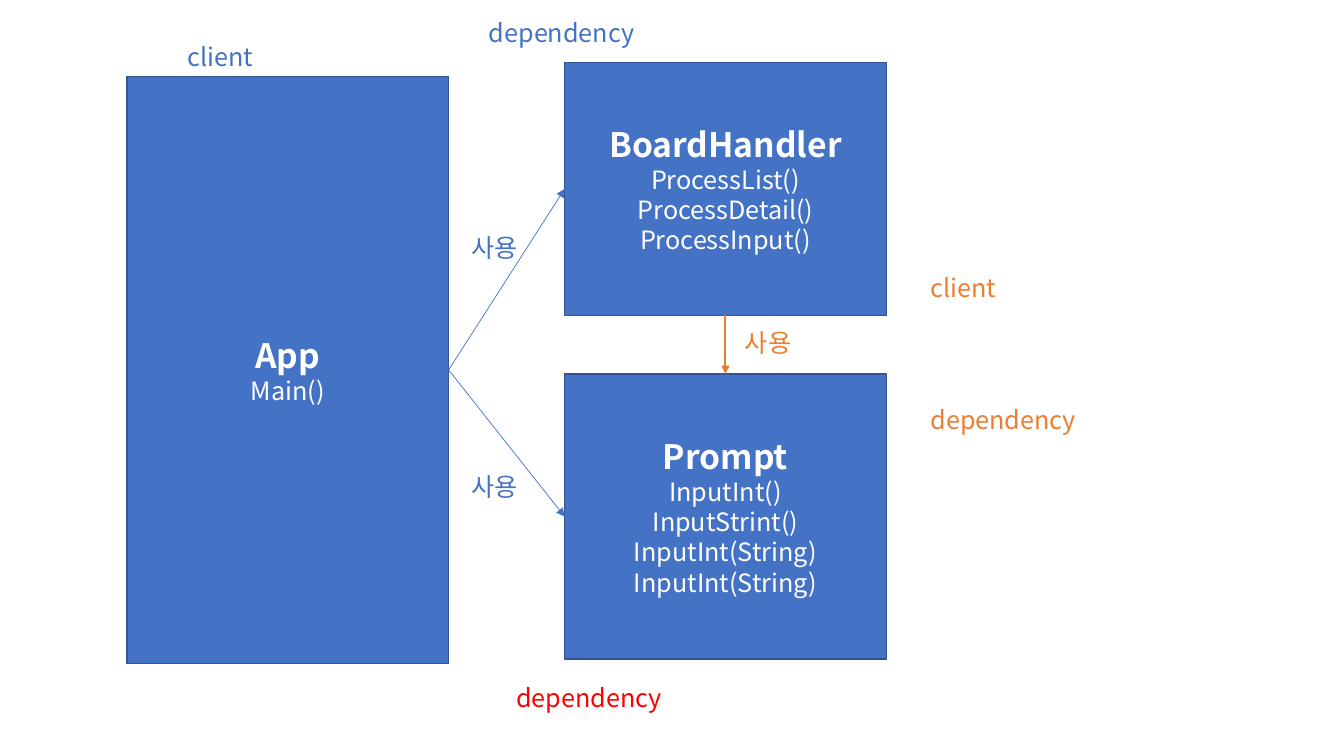
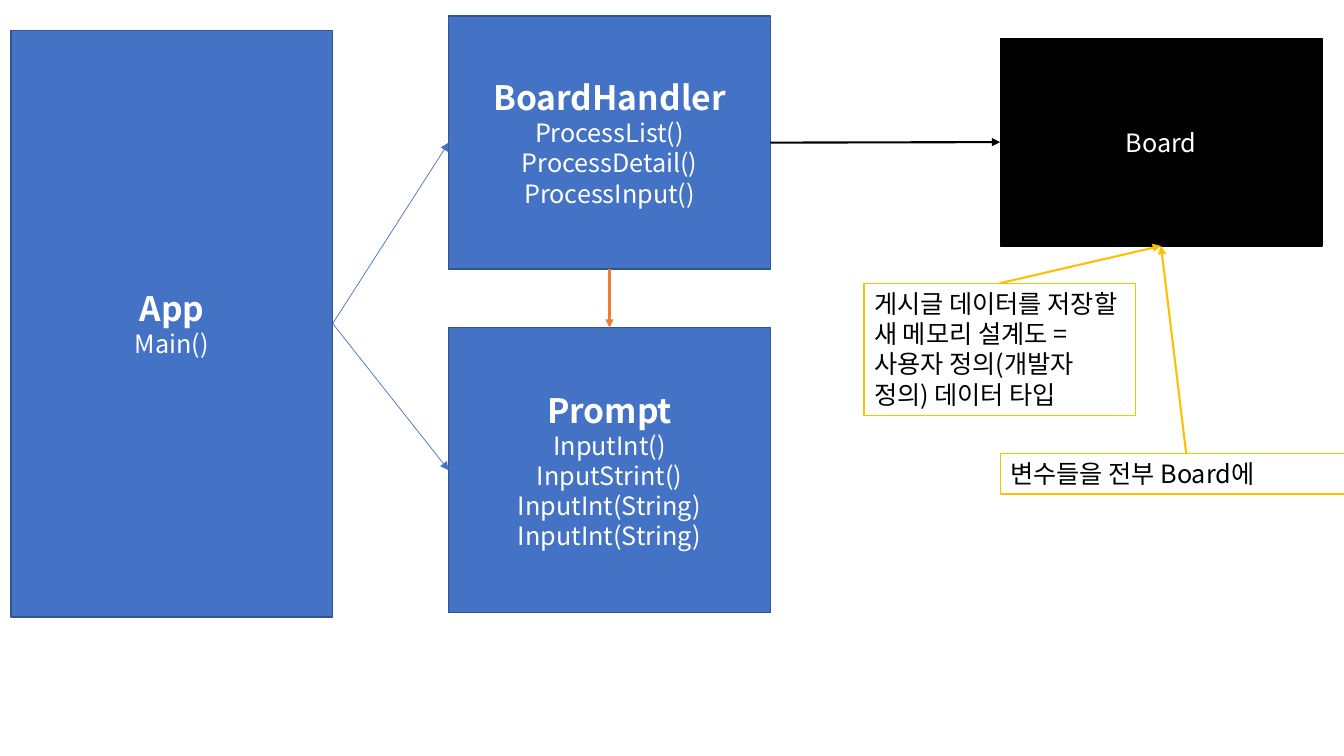
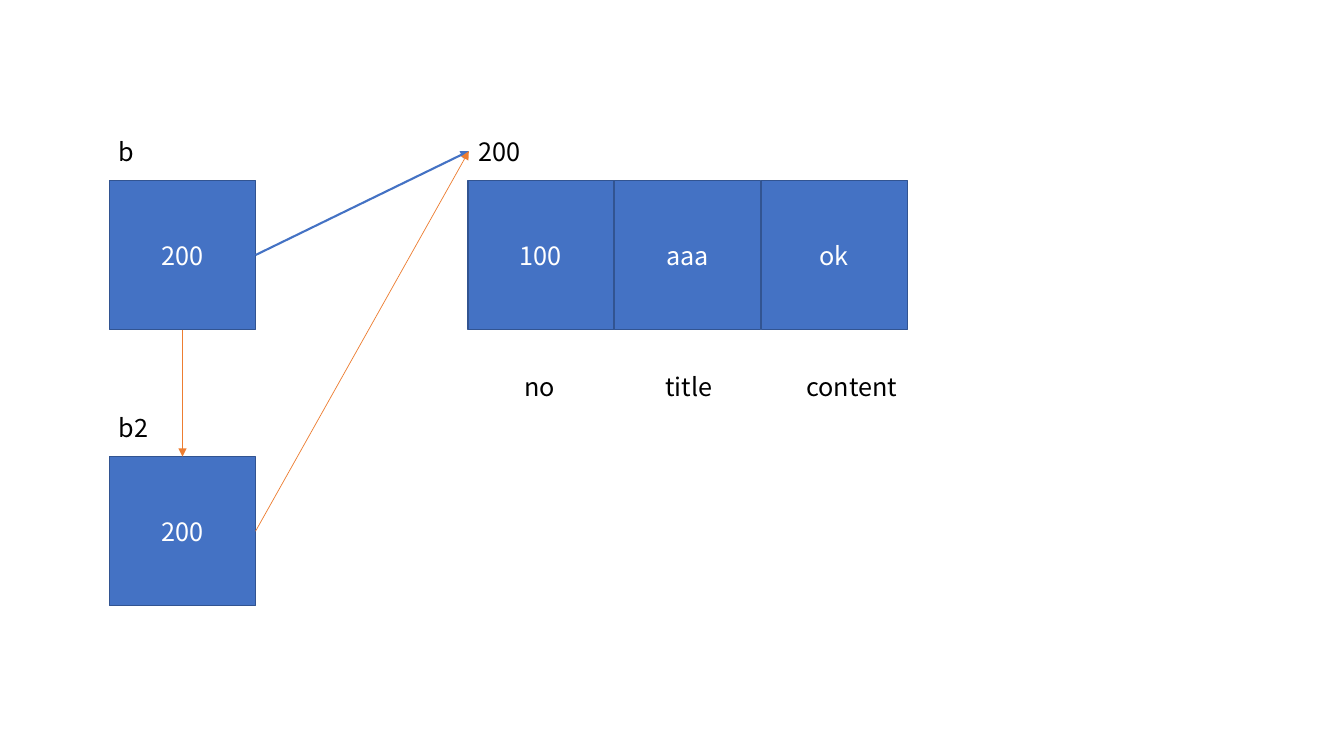
from lxml.etree import SubElement
from pptx import Presentation
from pptx.dml.color import RGBColor
from pptx.enum.shapes import MSO_CONNECTOR, MSO_SHAPE
from pptx.enum.text import MSO_ANCHOR, MSO_AUTO_SIZE, PP_ALIGN
from pptx.oxml.ns import qn
from pptx.util import Inches, Pt

# Shared style
FONT = "Noto Sans CJK KR"
COLOURS = {
    "blue": "4472C4", "navy": "325491", "orange": "ED7D31", "red": "FF0000",
    "gold": "FFC000", "black": "000000", "white": "FFFFFF",
}
TOP, LEFT, BOTTOM, RIGHT = range(4)


def add_box(page, lines, at, ink="white", fill="blue", outline="navy", centred=True):
    """Add a rectangle, or a plain text box when fill is None."""
    place = [Inches(length) for length in at]
    if fill is None:
        box = page.shapes.add_textbox(*place)
    else:
        box = page.shapes.add_shape(MSO_SHAPE.RECTANGLE, *place)
        box.shadow.inherit = False
        box.fill.solid()
        box.fill.fore_color.rgb = RGBColor.from_string(COLOURS[fill])
        box.line.color.rgb = RGBColor.from_string(COLOURS[outline])
        box.line.width = Pt(1)
    frame = box.text_frame
    frame.word_wrap = True
    frame.vertical_anchor = MSO_ANCHOR.MIDDLE if centred else MSO_ANCHOR.TOP
    frame.auto_size = MSO_AUTO_SIZE.NONE if centred else MSO_AUTO_SIZE.SHAPE_TO_FIT_TEXT
    frame.text = "\n".join(lines)
    for number, paragraph in enumerate(frame.paragraphs):
        heading = number == 0 and len(lines) > 1
        paragraph.alignment = PP_ALIGN.CENTER if centred else PP_ALIGN.LEFT
        paragraph.font.size = Pt(24 if heading else 18)
        paragraph.font.bold = heading
        paragraph.font.name = FONT
        paragraph.font.color.rgb = RGBColor.from_string(COLOURS[ink])
        for properties in paragraph._p.iter(qn("a:defRPr")):
            SubElement(properties, qn("a:ea"), typeface=FONT)
    return box


def add_arrow(page, source, source_side, target, target_side, colour, weight):
    """Join the middles of two box sides with an arrow."""
    arrow = page.shapes.add_connector(MSO_CONNECTOR.STRAIGHT, 0, 0, 0, 0)
    arrow.begin_connect(source, source_side)
    arrow.end_connect(target, target_side)
    arrow.line.color.rgb = RGBColor.from_string(COLOURS[colour])
    arrow.line.width = Pt(weight)
    SubElement(arrow.line._get_or_add_ln(), qn("a:tailEnd"), type="triangle")
    SubElement(arrow._element.spPr, qn("a:effectLst"))


deck = Presentation()
deck.slide_width, deck.slide_height = Inches(13.33), Inches(7.5)
class_page, board_page, memory_page = [
    deck.slides.add_slide(deck.slide_layouts[6]) for _ in range(3)
]

# Class diagram on the first two slides
CLASS_WIDTH = 3.19
HANDLER = ["BoardHandler", "ProcessList()", "ProcessDetail()", "ProcessInput()"]
PROMPT = ["Prompt", "InputInt()", "InputStrint()", "InputInt(String)", "InputInt(String)"]
for page, left, top in [(class_page, 1.26, 0.76), (board_page, 0.11, 0.3)]:
    app = add_box(page, ["App", "Main()"], (left, top, CLASS_WIDTH, 5.82))
    handler = add_box(page, HANDLER, (left + 4.34, top - 0.14, CLASS_WIDTH, 2.51))
    prompt = add_box(page, PROMPT, (left + 4.34, top + 2.95, CLASS_WIDTH, 2.83))
    for target in (handler, prompt):
        add_arrow(page, app, RIGHT, target, LEFT, "blue", 0.5)
    add_arrow(page, handler, BOTTOM, prompt, TOP, "orange", 1.5)

# Slide 1: roles and uses
for text, left, top, width, colour in [
    ("client", 1.76, 0.36, 1.92, "blue"),
    ("dependency", 4.75, 0.12, 1.92, "blue"),
    ("dependency", 5.02, 6.72, 1.92, "red"),
    ("사용", 4.58, 2.26, 0.88, "blue"),
    ("사용", 4.58, 4.63, 0.88, "blue"),
    ("사용", 7.29, 3.2, 0.88, "orange"),
    ("client", 9.13, 2.65, 1.92, "orange"),
    ("dependency", 9.13, 3.96, 1.92, "orange"),
]:
    add_box(class_page, [text], (left, top, width, 0.4), colour, None, centred=False)

# Slide 2: the Board type and its notes (handler is the one drawn last)
board = add_box(board_page, ["Board"], (9.92, 0.38, CLASS_WIDTH, 2.06),
                fill="black", outline="black")
add_arrow(board_page, handler, RIGHT, board, LEFT, "black", 1.5)
for text, at in [
    ("게시글 데이터를 저장할 새 메모리 설계도 = 사용자 정의(개발자 정의) 데이터 타입",
     (8.57, 2.81, 2.69, 1.31)),
    ("변수들을 전부 Board에", (9.92, 4.5, 3.69, 0.4)),
]:
    note = add_box(board_page, [text], at, "black", "white", "gold", centred=False)
    add_arrow(board_page, note, TOP, board, BOTTOM, "gold", 1.5)

# Slide 3: two references to one object
CELL_WIDTH, CELL_HEIGHT, CELL_STEP = 1.45, 1.48, 1.455
first, second = [
    add_box(memory_page, ["200"], (1.085, top, CELL_WIDTH, CELL_HEIGHT))
    for top in (1.79, 4.53)
]
for column, value in enumerate(["100", "aaa", "ok"]):
    add_box(memory_page, [value],
            (4.64 + column * CELL_STEP, 1.79, CELL_WIDTH, CELL_HEIGHT))
for text, left, top, width in [
    ("b", 1.08, 1.3, 0.4),
    ("b2", 1.08, 4.04, 0.61),
    ("no", 5.1, 3.63, 0.88),
    ("title", 6.5, 3.63, 0.88),
    ("content", 7.9, 3.63, 2.26),
    ("200", 4.65, 1.3, 0.88),
]:
    label = add_box(memory_page, [text], (left, top, width, 0.4), "black", None,
                    centred=False)
address = label
add_arrow(memory_page, first, RIGHT, address, LEFT, "blue", 1.5)
add_arrow(memory_page, first, BOTTOM, second, TOP, "orange", 0.5)
add_arrow(memory_page, second, RIGHT, address, LEFT, "orange", 0.5)

deck.save("out.pptx")
